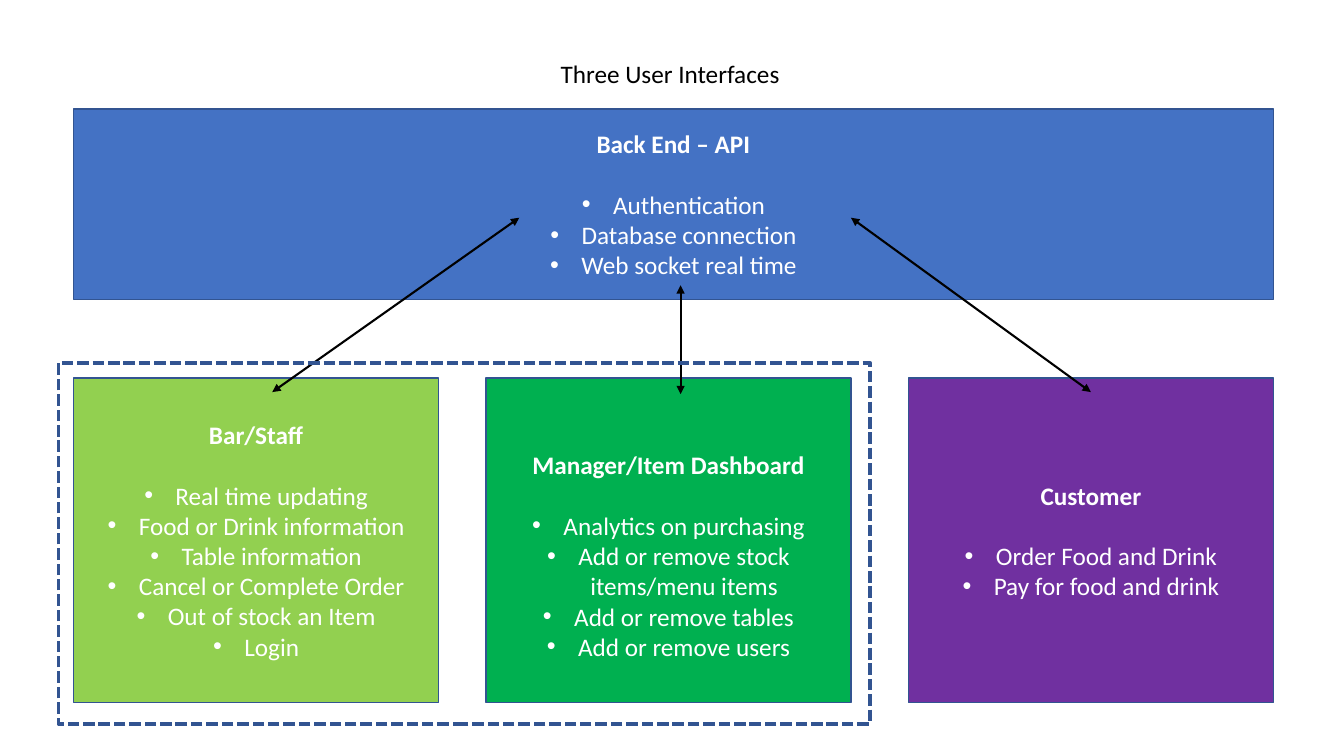
from lxml.etree import SubElement
from pptx import Presentation
from pptx.dml.color import RGBColor
from pptx.enum.dml import MSO_LINE
from pptx.enum.shapes import MSO_CONNECTOR, MSO_SHAPE
from pptx.enum.text import MSO_ANCHOR, MSO_AUTO_SIZE, PP_ALIGN
from pptx.oxml.ns import qn
from pptx.util import Inches, Pt

WHITE = RGBColor(0xFF, 0xFF, 0xFF)
BLACK = RGBColor(0x00, 0x00, 0x00)
BLUE = RGBColor(0x44, 0x72, 0xC4)
NAVY = RGBColor(0x32, 0x54, 0x91)
LIME = RGBColor(0x92, 0xD0, 0x50)
GREEN = RGBColor(0x00, 0xB0, 0x50)
PURPLE = RGBColor(0x70, 0x30, 0xA0)

LEFT = 0.73
PANEL_TOP, PANEL_WIDTH, PANEL_HEIGHT, PANEL_PITCH = 3.75, 3.62, 3.22, 4.14
BLANK_LINE = 0.3

PANELS = [
    ("Bar/Staff", LIME, 0, [
        "Real time updating",
        "Food or Drink information",
        "Table information",
        "Cancel or Complete Order",
        "Out of stock an Item",
        "Login",
    ]),
    ("Manager/Item Dashboard", GREEN, BLANK_LINE, [
        "Analytics on purchasing",
        "Add or remove stock items/menu items",
        "Add or remove tables",
        "Add or remove users",
    ]),
    ("Customer", PURPLE, 0, [
        "Order Food and Drink",
        "Pay for food and drink",
    ]),
]
BACK_END_DUTIES = ["Authentication", "Database connection", "Web socket real time"]
LINKS = [
    ((6.75, 3.91), (6.75, 2.83)),
    ((10.82, 3.89), (8.44, 2.16)),
    ((2.7, 3.89), (5.15, 2.16)),
]


def style_font(font, color, bold=False):
    font.name = "Calibri"
    font.size = Pt(18)
    font.bold = bold
    font.color.rgb = color


def add_bullet(paragraph):
    properties = paragraph._p.get_or_add_pPr()
    properties.set("marL", str(Inches(0.31)))
    properties.set("indent", str(Inches(-0.31)))
    SubElement(properties, qn("a:buFont")).set("typeface", "Arial")
    SubElement(properties, qn("a:buChar")).set("char", "•")


def add_box(slide, left, top, width, height, line_width):
    box = slide.shapes.add_shape(
        MSO_SHAPE.RECTANGLE, Inches(left), Inches(top), Inches(width), Inches(height))
    box.shadow.inherit = False
    box.line.color.rgb = NAVY
    box.line.width = Pt(line_width)
    return box


def add_panel(slide, left, top, width, height, fill, heading, items, extra_top=0):
    panel = add_box(slide, left, top, width, height, 1)
    panel.fill.solid()
    panel.fill.fore_color.rgb = fill
    frame = panel.text_frame
    frame.word_wrap = True
    frame.vertical_anchor = MSO_ANCHOR.MIDDLE
    frame.margin_top = Inches(0.05 + extra_top)
    frame.text = "\n".join([heading] + items)
    title, *bullets = frame.paragraphs
    title.space_after = Inches(BLANK_LINE)
    for bullet in bullets:
        add_bullet(bullet)
    for paragraph in frame.paragraphs:
        paragraph.alignment = PP_ALIGN.CENTER
        style_font(paragraph.runs[0].font, WHITE, paragraph._p is title._p)


def add_link(slide, start, end):
    link = slide.shapes.add_connector(
        MSO_CONNECTOR.STRAIGHT, *(Inches(value) for value in start + end))
    link.line.color.rgb = BLACK
    link.line.width = Pt(1.5)
    outline = link.line._get_or_add_ln()
    for arrowhead in ("a:headEnd", "a:tailEnd"):
        SubElement(outline, qn(arrowhead)).set("type", "triangle")
    SubElement(link._element.spPr, qn("a:effectLst"))


def set_title(slide):
    title = slide.shapes.title
    title.left, title.top = Inches(5.46), Inches(0.53)
    title.width, title.height = Inches(2.41), Inches(0.4)
    frame = title.text_frame
    frame.text = "Three User Interfaces"
    frame.word_wrap = True
    frame.auto_size = MSO_AUTO_SIZE.NONE
    frame.vertical_anchor = MSO_ANCHOR.TOP
    heading = frame.paragraphs[0]
    heading.alignment = PP_ALIGN.LEFT
    heading.line_spacing = 1.0
    style_font(heading.runs[0].font, BLACK)


def add_dashed_group(slide):
    group = add_box(slide, 0.58, 3.6, 8.05, 3.58, 2.75)
    group.fill.background()
    group.line.dash_style = MSO_LINE.SQUARE_DOT


def main():
    deck = Presentation()
    deck.slide_width, deck.slide_height = Inches(13.33), Inches(7.5)
    slide = deck.slides.add_slide(deck.slide_layouts[5])
    set_title(slide)
    for column, (heading, fill, extra_top, items) in enumerate(PANELS):
        add_panel(slide, LEFT + column * PANEL_PITCH - (0.05 if column == 1 else 0),
                  PANEL_TOP, PANEL_WIDTH, PANEL_HEIGHT, fill, heading, items, extra_top)
    add_panel(slide, LEFT, 1.08, 11.9, 1.89, BLUE, "Back End – API", BACK_END_DUTIES)
    for start, end in LINKS:
        add_link(slide, start, end)
    add_dashed_group(slide)
    deck.save("out.pptx")


if __name__ == "__main__":
    main()
